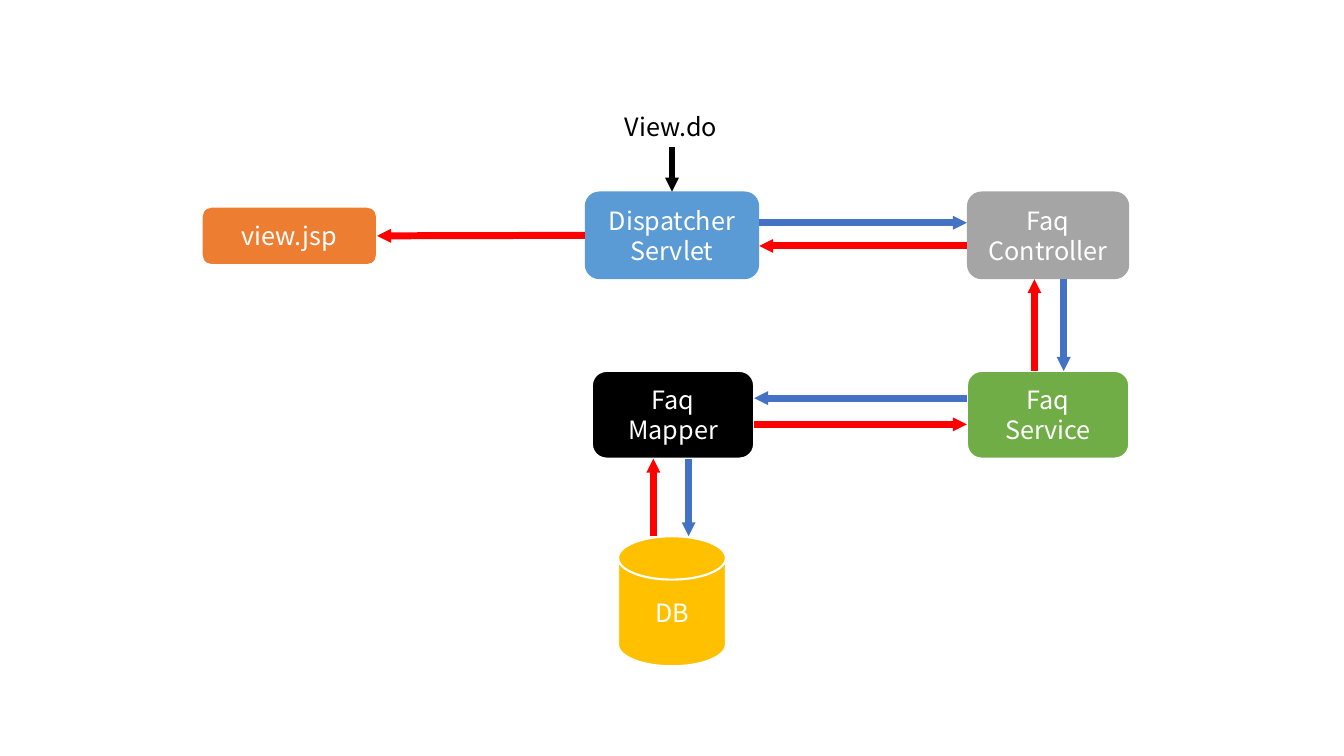
from pptx import Presentation
from pptx.dml.color import RGBColor
from pptx.enum.shapes import MSO_CONNECTOR, MSO_SHAPE
from pptx.enum.text import MSO_ANCHOR, PP_ALIGN
from pptx.oxml.ns import qn
from pptx.util import Inches, Pt
from lxml.etree import SubElement

FONT = "Noto Sans CJK KR"
WHITE = RGBColor(0xFF, 0xFF, 0xFF)
BLACK = RGBColor(0x00, 0x00, 0x00)
BLUE = RGBColor(0x44, 0x72, 0xC4)
RED = RGBColor(0xFF, 0x00, 0x00)
SKY = RGBColor(0x5B, 0x9B, 0xD5)
GRAY = RGBColor(0xA5, 0xA5, 0xA5)
ORANGE = RGBColor(0xED, 0x7D, 0x31)
GREEN = RGBColor(0x70, 0xAD, 0x47)
GOLD = RGBColor(0xFF, 0xC0, 0x00)

ROUND = MSO_SHAPE.ROUNDED_RECTANGLE
DISK = MSO_SHAPE.FLOWCHART_MAGNETIC_DISK
TOP, LEFT, RIGHT = 0, 1, 3

# Components: name, text, shape, fill, outlined, (left, top, width, height)
COMPONENTS = [
    ("mapper", "Faq Mapper", ROUND, BLACK, True, (5.87, 3.68, 1.61, 0.87)),
    ("dispatcher", "Dispatcher Servlet", ROUND, SKY, False, (5.8, 1.9, 1.73, 0.87)),
    ("controller", "Faq Controller", ROUND, GRAY, False, (9.59, 1.9, 1.61, 0.87)),
    ("view", "view.jsp", ROUND, ORANGE, True, (2, 2.05, 1.74, 0.58)),
    ("service", "Faq\nService", ROUND, GREEN, True, (9.59, 3.68, 1.61, 0.87)),
    ("database", "DB", DISK, GOLD, True, (6.13, 5.32, 1.07, 1.29)),
]
REQUEST = ("View.do", (6.1, 1.06, 1.13, 0.4))

# Call and return pairs
# Side by side: caller, callee, height of the call, height of the return
ACROSS = [
    ("dispatcher", "controller", 2.21, 2.44),
    ("service", "mapper", 3.95, 4.21),
]
# One above the other: caller, callee, x of the call, x of the return
DOWN = [
    ("controller", "service", 10.55, 10.26),
    ("mapper", "database", 6.83, 6.48),
]


def write(shape, text, color, align):
    shape.text_frame.word_wrap = True
    shape.text_frame.text = text
    for para in shape.text_frame.paragraphs:
        para.alignment = align
        para.font.name = FONT
        para.font.size = Pt(18)
        para.font.color.rgb = color


def add_component(page, text, kind, fill, outlined, place):
    box = page.shapes.add_shape(kind, *map(Inches, place))
    box.shadow.inherit = False
    box.fill.solid()
    box.fill.fore_color.rgb = fill
    if outlined:
        box.line.color.rgb = WHITE
        box.line.width = Pt(1.5)
    else:
        box.line.fill.background()
    box.text_frame.vertical_anchor = MSO_ANCHOR.MIDDLE
    write(box, text, WHITE, PP_ALIGN.CENTER)
    return box


def add_arrow(page, color, start=(0, 0), end=(0, 0)):
    arrow = page.shapes.add_connector(MSO_CONNECTOR.STRAIGHT, *start, *end)
    arrow.line.color.rgb = color
    arrow.line.width = Pt(5)
    properties = arrow.element.spPr
    SubElement(properties.find(qn("a:ln")), qn("a:tailEnd"), type="triangle", w="sm", len="sm")
    SubElement(properties, qn("a:effectLst"))
    return arrow


def add_pair(page, call_start, call_end, return_start, return_end):
    add_arrow(page, BLUE, call_start, call_end)
    add_arrow(page, RED, return_start, return_end)


def main():
    deck = Presentation()
    deck.slide_width, deck.slide_height = Inches(13.33), Inches(7.5)
    page = deck.slides.add_slide(deck.slide_layouts[6])

    # Components
    boxes = {name: add_component(page, *rest) for name, *rest in COMPONENTS}

    # Incoming request
    text, place = REQUEST
    request = page.shapes.add_textbox(*map(Inches, place))
    write(request, text, BLACK, PP_ALIGN.LEFT)
    arrow = add_arrow(page, BLACK)
    arrow.begin_connect(request, 2)
    arrow.end_connect(boxes["dispatcher"], TOP)

    # Rendered view
    arrow = add_arrow(page, RED)
    arrow.begin_connect(boxes["dispatcher"], LEFT)
    arrow.end_connect(boxes["view"], RIGHT)

    # Calls and returns between neighbours
    for caller, callee, call_y, return_y in ACROSS:
        first, second = boxes[caller], boxes[callee]
        if first.left < second.left:
            near, far = first.left + first.width, second.left
        else:
            near, far = first.left, second.left + second.width
        call_y, return_y = Inches(call_y), Inches(return_y)
        add_pair(page, (near, call_y), (far, call_y), (far, return_y), (near, return_y))

    for caller, callee, call_x, return_x in DOWN:
        near = boxes[caller].top + boxes[caller].height
        far = boxes[callee].top
        call_x, return_x = Inches(call_x), Inches(return_x)
        add_pair(page, (call_x, near), (call_x, far), (return_x, far), (return_x, near))

    deck.save("out.pptx")


if __name__ == "__main__":
    main()
